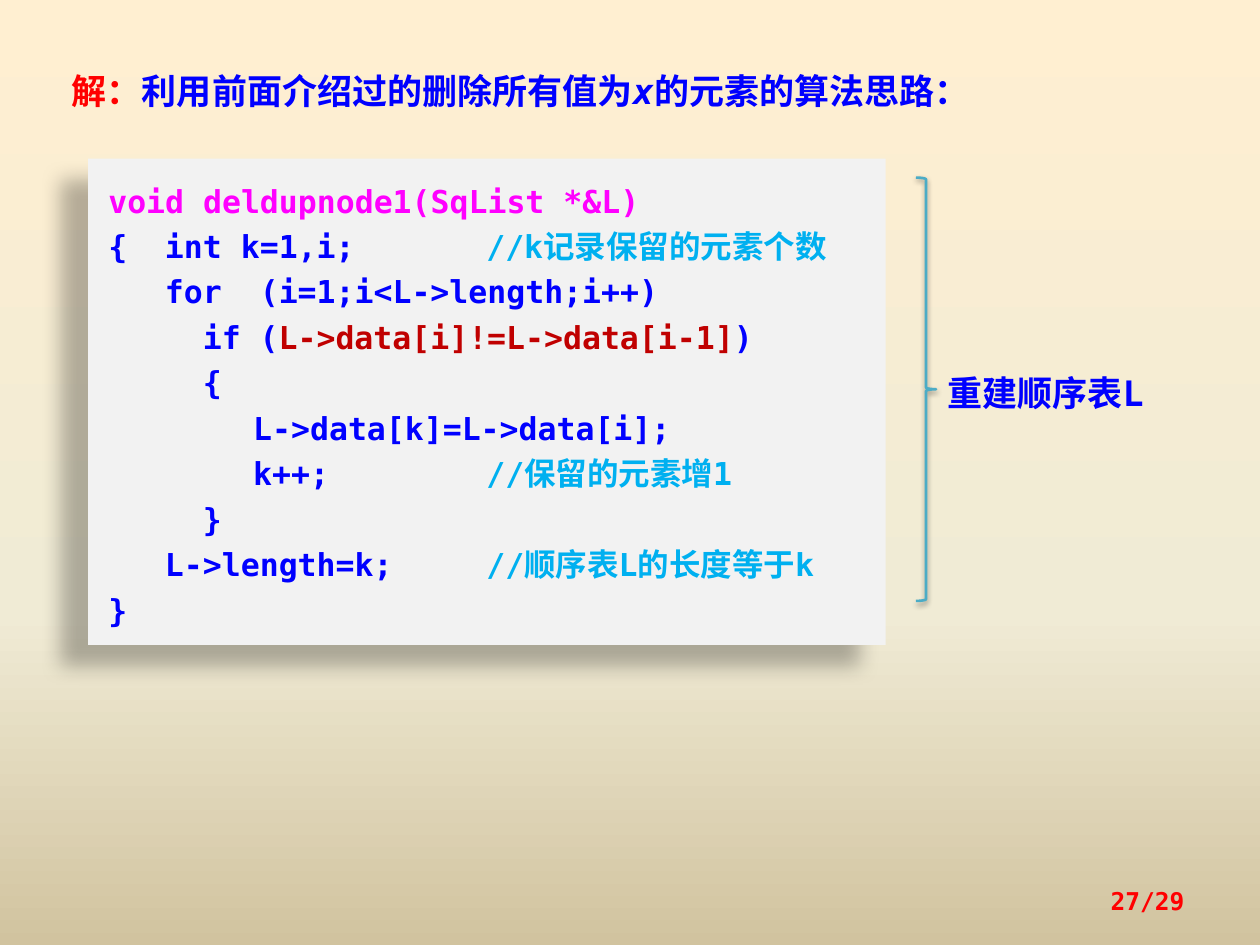
from copy import deepcopy

from lxml.etree import SubElement
from pptx import Presentation
from pptx.dml.color import RGBColor
from pptx.enum.shapes import MSO_SHAPE
from pptx.enum.text import MSO_ANCHOR, PP_ALIGN
from pptx.oxml.ns import qn
from pptx.util import Emu, Inches, Pt

RED = RGBColor(0xFF, 0x00, 0x00)
BLUE = RGBColor(0x00, 0x00, 0xFF)
MAGENTA = RGBColor(0xFF, 0x00, 0xFF)
DARK_RED = RGBColor(0xC0, 0x00, 0x00)
SKY = RGBColor(0x00, 0xB0, 0xF0)
TEAL = RGBColor(0x4B, 0xAC, 0xC6)
PANEL = RGBColor(0xF2, 0xF2, 0xF2)
BACKGROUND = [(0, RGBColor(0xFF, 0xEF, 0xD1)),
              (0.65, RGBColor(0xF0, 0xEB, 0xD5)),
              (1, RGBColor(0xD1, 0xC3, 0x9F))]
COMMENT_STOP = 3.0


def write(paragraph, runs, size=20, align=PP_ALIGN.LEFT, spacing=None, before=0, stops=()):
    """Fill a paragraph with (text, colour[, italic]) runs; stops are tab stops in inches."""
    paragraph.alignment = align
    paragraph.line_spacing = spacing
    paragraph.space_before = Pt(before)
    if stops:
        tabs = SubElement(paragraph._p.get_or_add_pPr(), qn("a:tabLst"))
        for stop in stops:
            SubElement(tabs, qn("a:tab"), pos=str(Inches(stop)), algn="l")
    for text, color, *italic in runs:
        run = paragraph.add_run()
        run.text = text
        run.font.name = SlideBuilder.FONT
        run.font.size = Pt(size)
        run.font.bold = True
        run.font.italic = bool(italic)
        run.font.color.rgb = color


class SlideBuilder:
    FONT = "DejaVu Sans Mono"

    def __init__(self, slide):
        self.slide = slide

    def background(self, colors):
        fill = self.slide.background.fill
        fill.gradient()
        fill.gradient_angle = 270
        stop_list = self.slide.element.find(".//" + qn("a:gsLst"))
        stop_list.append(deepcopy(stop_list[-1]))
        for stop, (position, color) in zip(fill.gradient_stops, colors):
            stop.position = position
            stop.color.rgb = color

    def title(self, box, runs, **style):
        title = self.slide.shapes.title
        title.left, title.top, title.width, title.height = map(Inches, box)
        title.text_frame.word_wrap = True
        title.text_frame.vertical_anchor = MSO_ANCHOR.TOP
        write(title.text_frame.paragraphs[0], runs, **style)

    def text(self, box, runs, anchor=MSO_ANCHOR.TOP, **style):
        frame = self.slide.shapes.add_textbox(*map(Inches, box)).text_frame
        frame.word_wrap = True
        frame.vertical_anchor = anchor
        write(frame.paragraphs[0], runs, **style)

    def shape(self, preset, box, shadow, fill=None, line=None):
        shape = self.slide.shapes.add_shape(preset, *map(Inches, box))
        if fill is None:
            shape.fill.background()
        else:
            shape.fill.solid()
            shape.fill.fore_color.rgb = fill
        if line is None:
            shape.line.fill.background()
        else:
            shape.line.color.rgb = line
            shape.line.width = Pt(1.5)
        self.shadow(shape, *shadow)
        return shape

    def shadow(self, shape, opacity, blur, distance, angle):
        shape.shadow.inherit = False
        effects = shape._element.spPr.find(qn("a:effectLst"))
        outer = SubElement(effects, qn("a:outerShdw"), blurRad=str(Pt(blur)),
                           dist=str(Pt(distance)), dir=str(angle * 60000),
                           algn="ctr", rotWithShape="0")
        color = SubElement(outer, qn("a:srgbClr"), val="000000")
        SubElement(color, qn("a:alpha"), val=str(opacity * 1000))

    def code(self, box, lines, shadow):
        panel = self.shape(MSO_SHAPE.RECTANGLE, box, shadow, fill=PANEL)
        frame = panel.text_frame
        frame.word_wrap = True
        frame.vertical_anchor = MSO_ANCHOR.TOP
        frame.margin_left = Inches(0.16)
        frame.margin_top = frame.margin_bottom = Inches(0.12)
        for number, (indent, runs) in enumerate(lines):
            paragraph = frame.add_paragraph() if number else frame.paragraphs[0]
            stops = (indent, COMMENT_STOP) if indent else ()
            write(paragraph, runs, size=18, spacing=Pt(26), stops=stops)


presentation = Presentation()
presentation.slide_width, presentation.slide_height = Inches(10), Inches(7.5)
builder = SlideBuilder(presentation.slides.add_slide(presentation.slide_layouts[5]))
builder.background(BACKGROUND)

# Solution idea
builder.title((0.47, 0.47, 7.11, 0.45),
              [("解：", RED), ("利用前面介绍过的删除所有值为", BLUE),
               ("x", BLUE, True), ("的元素的算法思路：", BLUE)], spacing=1.1)

# Algorithm: each line is its indent in inches and its runs
BODY, BLOCK, INNER = 0.45, 0.75, 1.15
algorithm = [
    (0, [("void deldupnode1(SqList *&L)", MAGENTA)]),
    (BODY, [("{\tint k=1,i;\t", BLUE), ("//k记录保留的元素个数", SKY)]),
    (BODY, [("\tfor  (i=1;i<L->length;i++)", BLUE)]),
    (BLOCK, [("\tif (", BLUE), ("L->data[i]!=L->data[i-1]", DARK_RED), (")", BLUE)]),
    (BLOCK, [("\t{", BLUE)]),
    (INNER, [("\tL->data[k]=L->data[i];", BLUE)]),
    (INNER, [("\tk++;\t", BLUE), ("//保留的元素增1", SKY)]),
    (BLOCK, [("\t}", BLUE)]),
    (BODY, [("\tL->length=k;\t", BLUE), ("//顺序表L的长度等于k", SKY)]),
    (0, [("}", BLUE)]),
]
builder.code((0.7, 1.26, 6.33, 3.86), algorithm, shadow=(28, 11.8, 19.7, 141))

# Brace with its meaning
builder.shape(MSO_SHAPE.RIGHT_BRACE, (7.27, 1.41, 0.16, 3.36),
              shadow=(38, 3.1, 1.6, 90), line=TEAL)
builder.text((7.42, 2.87, 1.88, 0.47), [("重建顺序表L", BLUE)], spacing=1.1, before=10)

# Page number
builder.text((7.17, 6.95, 2.33, 0.4), [("27/29", RED)], size=14,
             align=PP_ALIGN.RIGHT, anchor=MSO_ANCHOR.MIDDLE)

presentation.save("out.pptx")
